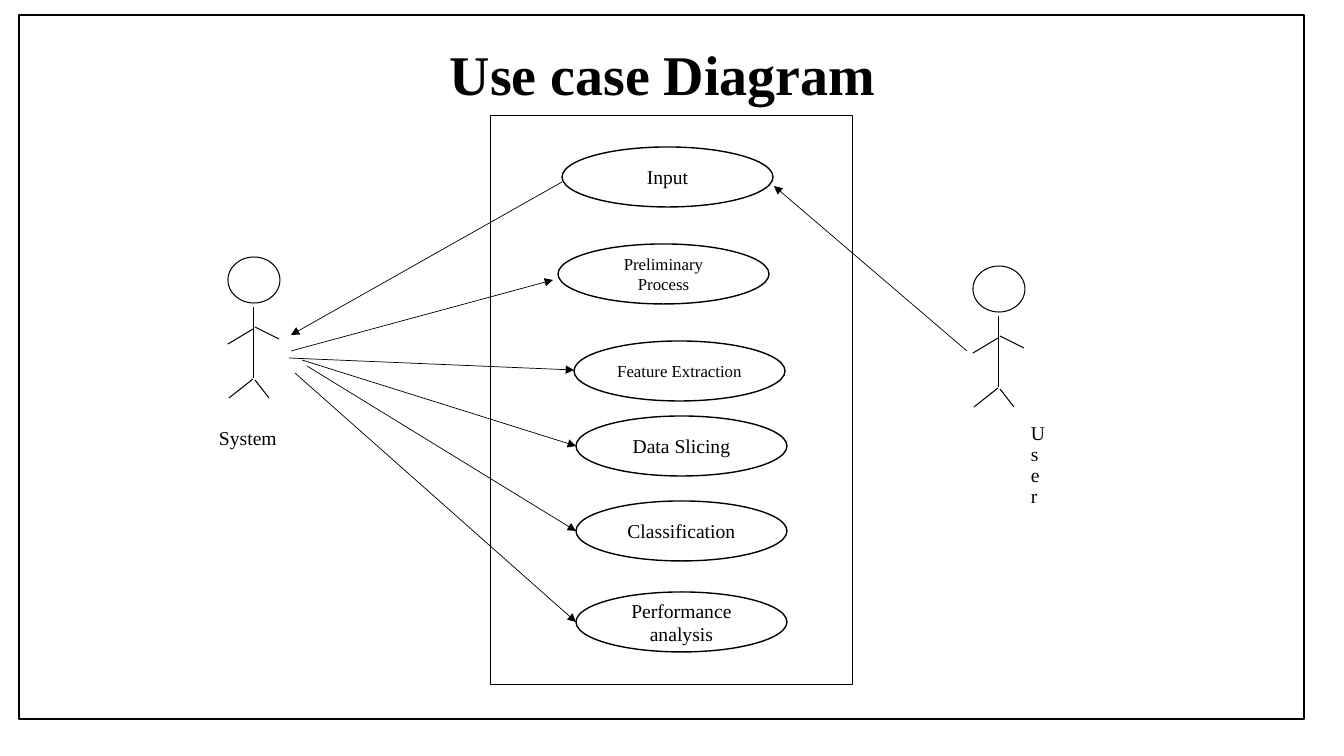
import pptx
import pptx.dml.color
import pptx.enum.shapes
import pptx.enum.text
import pptx.oxml
import pptx.oxml.ns
import pptx.util

# Content, in px
SCALE = 914400 / 100.8
FONT = "Times New Roman"
BLACK, WHITE = "000000", "FFFFFF"

SLIDE_SIZE = (1344, 756)
TITLE = ("Use case Diagram", (75, 35, 1175, 74))
FRAME = (19, 15, 1285, 704)
BOUNDARY = (491, 116, 362, 569)

CASE_SIZE = (211, 60)
CASES = [  # text, left, top, font size
    ("Input", 562, 147, 14),
    ("Preliminary Process", 558, 244, 12),
    ("Feature Extraction", 574, 341, 12),
    ("Data Slicing", 576, 416, 14),
    ("Classification", 576, 501, 14),
    ("Performance analysis", 576, 592, 14),
]

ACTORS = [(228, 257), (973, 266)]
HEAD_SIZE = (52, 46)
LIMBS = [  # from and to, measured from the corner of the head
    (26, 50, 26, 121),
    (27, 70, 51, 82),
    (25, 72, 0, 87),
    (27, 123, 41, 141),
    (25, 122, 1, 141),
]
LABELS = [  # the narrow second box stacks its letters
    ("System", (214, 423, 78, 31), False),
    ("User", (1026, 418, 22, 94), True),
]
ARROWS = [
    (967, 351, 774, 186),
    (562, 182, 291, 335),
    (291, 351, 553, 280),
    (289, 358, 574, 370),
    (302, 360, 576, 446),
    (307, 366, 576, 531),
    (295, 373, 576, 622),
]

SHAPES = pptx.enum.shapes.MSO_SHAPE
ALIGN = pptx.enum.text.PP_ALIGN
ANCHOR = pptx.enum.text.MSO_ANCHOR


def px(*values):
    return [pptx.util.Emu(round(v * SCALE)) for v in values]


def rgb(value):
    return pptx.dml.color.RGBColor.from_string(value)


def set_attrs(obj, values):
    for name, value in values.items():
        setattr(obj, name, value)


def set_text(sp, text, size, align, anchor, side=5, edge=5, wrap=True,
             bold=False, spacing=None):
    tf = sp.text_frame
    tf.text = text
    left, top = px(side, edge)
    set_attrs(tf, {
        "margin_left": left, "margin_right": left,
        "margin_top": top, "margin_bottom": top,
        "word_wrap": wrap, "vertical_anchor": anchor,
        "auto_size": pptx.enum.text.MSO_AUTO_SIZE.NONE,
    })
    p = tf.paragraphs[0]
    set_attrs(p, {"alignment": align, "line_spacing": spacing})
    font = p.runs[0].font
    set_attrs(font, {"name": FONT, "size": pptx.util.Pt(size), "bold": bold})
    font.color.rgb = rgb(BLACK)


def set_line(sp, width):
    sp.line.color.rgb = rgb(BLACK)
    sp.line.width = pptx.util.Pt(width)


def add_outline(s, kind, box, width, fill=None):
    sp = s.shapes.add_shape(kind, *px(*box))
    sp.shadow.inherit = False
    if fill:
        sp.fill.solid()
        sp.fill.fore_color.rgb = rgb(fill)
    else:
        sp.fill.background()
    set_line(sp, width)
    return sp


def add_line(s, ends, width, arrow=False):
    line = s.shapes.add_connector(
        pptx.enum.shapes.MSO_CONNECTOR.STRAIGHT, *px(*ends))
    set_line(line, width)
    if arrow:
        tail = pptx.oxml.parse_xml(
            f'<a:tailEnd {pptx.oxml.ns.nsdecls("a")} type="triangle"/>')
        line.line._get_or_add_ln().append(tail)
    line._element.spPr.append(pptx.oxml.parse_xml(
        f'<a:effectLst {pptx.oxml.ns.nsdecls("a")}/>'))


def add_actor(s, left, top):
    add_outline(s, SHAPES.OVAL, (left, top, *HEAD_SIZE), 0.75)
    for x1, y1, x2, y2 in LIMBS:
        add_line(s, (left + x1, top + y1, left + x2, top + y2), 0.75)


def main():
    prs = pptx.Presentation()
    prs.slide_width, prs.slide_height = px(*SLIDE_SIZE)
    s = prs.slides.add_slide(prs.slide_layouts[5])

    text, box = TITLE
    title = s.shapes.title
    set_attrs(title, dict(zip(("left", "top", "width", "height"), px(*box))))
    set_text(title, text, 40, ALIGN.CENTER, ANCHOR.TOP, bold=True)

    add_outline(s, SHAPES.RECTANGLE, BOUNDARY, 0.75)
    for corner in ACTORS:
        add_actor(s, *corner)
    for text, box, wrap in LABELS:
        label = s.shapes.add_textbox(*px(*box))
        set_text(label, text, 14, ALIGN.LEFT, ANCHOR.TOP, wrap=wrap,
                 spacing=pptx.util.Pt(15))
    for text, left, top, size in CASES:
        case = add_outline(s, SHAPES.OVAL, (left, top, *CASE_SIZE), 1, WHITE)
        set_text(case, text, size, ALIGN.CENTER, ANCHOR.MIDDLE, side=10, edge=0)
    for ends in ARROWS:
        add_line(s, ends, 0.5, arrow=True)
    add_outline(s, SHAPES.RECTANGLE, FRAME, 1)

    prs.save("out.pptx")


if __name__ == "__main__":
    main()
